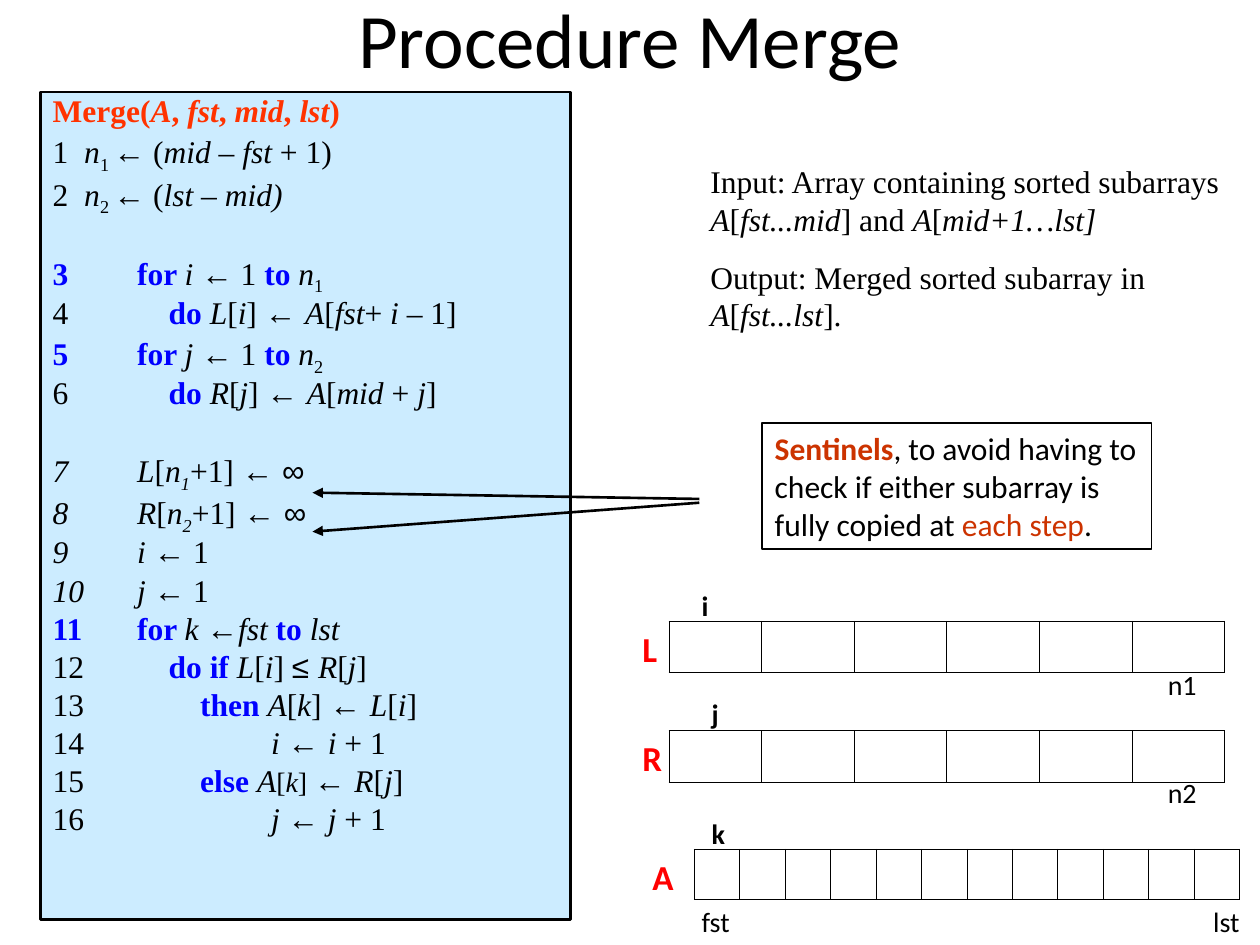
from dataclasses import dataclass
from functools import partial
from typing import NamedTuple, Optional

from lxml.etree import SubElement
from pptx import Presentation
from pptx.dml.color import RGBColor
from pptx.enum.shapes import MSO_CONNECTOR as Connector, MSO_SHAPE as Shape
from pptx.enum.text import MSO_ANCHOR as Anchor, PP_ALIGN as Align
from pptx.oxml.ns import qn
from pptx.util import Emu, Pt

PX = 9144  # 100 px to the inch
BLACK, BLUE, RED = "000000", "0000FF", "FF0000"
HEADING, ACCENT, PANEL = "FF3300", "CC3300", "CCECFF"
SERIF, SANS, SYMBOL = "Times New Roman", "Calibri", "Arial"


class Box(NamedTuple):
    left: int
    top: int
    width: int
    height: int


@dataclass(frozen=True)
class Span:
    text: str
    font: str = SERIF
    size: int = 18
    color: str = BLACK
    bold: bool = False
    italic: bool = False
    sub: bool = False


@dataclass(frozen=True)
class CodeLine:
    spans: list
    numbered: bool = True
    before: float = 4.5


@dataclass(frozen=True)
class Label:
    text: str
    box: Box
    size: int = 16
    color: str = BLACK
    bold: bool = False


@dataclass(frozen=True)
class ArrayRow:
    box: Box
    cells: int


ital = partial(Span, italic=True)
sub = partial(Span, sub=True)
key = partial(Span, color=BLUE, bold=True)
sym = partial(Span, font=SYMBOL)
head = partial(Span, color=HEADING, bold=True)
sans = partial(Span, font=SANS)
ARROW = sym("←")
ARROW_GAP = sym("← ")
GAP = 25.5  # points before a new block of code


def element(name: str) -> list:
    """Code for one array element, such as L[i]."""
    array, index = name
    return [ital(array), Span("["), ital(index), Span("]")]


def count_line(number: str, tail: list) -> CodeLine:
    return CodeLine([Span(f"{number}  "), ital("n"), sub(f"{number} "), ARROW,
                     Span(" (")] + tail, numbered=False)


def copy_loop(index: str, number: str, array: str, source: list,
              before: float = 4.5) -> list:
    return [
        CodeLine([key("for "), ital(f"{index} "), ARROW, Span(" 1 "), key("to "),
                  ital("n"), sub(number)], before=before),
        CodeLine([Span("    "), key("do "), ital(array), Span("["), ital(index),
                  Span("] "), ARROW_GAP, ital("A"), Span("[")] + source),
    ]


def sentinel(array: str, number: str, before: float = 4.5) -> CodeLine:
    return CodeLine([ital(array), Span("["), ital("n"), sub(number, italic=True),
                     Span("+1] "), sym("← ∞")], before=before)


def start_at_one(index: str) -> CodeLine:
    return CodeLine([ital(f"{index} "), ARROW, Span(" 1")])


def step(index: str) -> CodeLine:
    return CodeLine([Span(" " * 17), ital(f"{index} "), ARROW_GAP, ital(index), Span(" + 1")])


def take(word: str, source: str, size: int = 18) -> CodeLine:
    return CodeLine([Span(" " * 8), key(f"{word} "), ital("A"), Span("[", size=size),
                     ital("k", size=size), Span("] ", size=size), ARROW_GAP] + element(source))


CODE = [
    CodeLine([head("Merge("), head("A", italic=True), head(", "), head("fst", italic=True),
              head(", "), head("mid", italic=True), head(", "), head("lst", italic=True),
              head(")")], numbered=False, before=0),
    count_line("1", [ital("mid "), Span("– "), ital("fst "), Span("+ 1)")]),
    count_line("2", [ital("lst "), Span("– "), ital("mid)")]),
    *copy_loop("i", "1", "L", [ital("fst"), Span("+ "), ital("i "), Span("– 1]")], GAP),
    *copy_loop("j", "2", "R", [ital("mid "), Span("+ "), ital("j"), Span("]")]),
    sentinel("L", "1", GAP),
    sentinel("R", "2"),
    start_at_one("i"),
    start_at_one("j"),
    CodeLine([key("for "), ital("k "), ARROW, ital("fst "), key("to "), ital("lst")]),
    CodeLine([Span("    "), key("do if "), *element("Li"), Span(" "), sym("≤ "),
              *element("Rj")]),
    take("then", "Li"),
    step("i"),
    take("else", "Rj", size=16),
    step("j"),
]
NOTE = [
    [sans("Sentinels", color=ACCENT, bold=True), sans(", to avoid having to")],
    [sans("check if either subarray is")],
    [sans("fully copied at "), sans("each step", color=ACCENT), sans(".")],
]
CONTRACT = [
    [Span("Input: Array containing sorted subarrays "), ital("A"), Span("["),
     ital("fst...mid"), Span("] and "), ital("A"), Span("["), ital("mid+1…lst]")],
    [Span("Output: Merged sorted subarray in "), ital("A"), Span("["), ital("fst...lst"),
     Span("].")],
]
ARROWS = [((555, 396), (248, 391)), ((555, 399), (248, 422))]
ARRAYS = [ArrayRow(Box(531, 493, 441, 41), 6), ArrayRow(Box(531, 580, 441, 41), 6),
          ArrayRow(Box(551, 674, 433, 40), 12)]
name_label = partial(Label, size=20, color=RED, bold=True)
LABELS = [
    name_label("L", Box(500, 493, 39, 44)),
    name_label("R", Box(500, 580, 39, 44)),
    name_label("A", Box(508, 674, 39, 44)),
    Label("i", Box(547, 462, 32, 37), bold=True),
    Label("j", Box(555, 548, 30, 37), bold=True),
    Label("k", Box(555, 643, 31, 37), bold=True),
    Label("n1", Box(917, 525, 47, 37)),
    Label("n2", Box(917, 611, 47, 37)),
    Label("fst", Box(547, 713, 47, 37)),
    Label("lst", Box(953, 713, 47, 37)),
]


def emu(values) -> list:
    return [Emu(value * PX) for value in values]


def rgb(color: str) -> RGBColor:
    return RGBColor.from_string(color)


def add_spans(para, spans: list) -> None:
    for span in spans:
        run = para.add_run()
        run.text = span.text
        font = run.font
        font.name, font.size = span.font, Pt(span.size)
        font.bold, font.italic = span.bold, span.italic
        font.color.rgb = rgb(span.color)
        if span.sub:
            run._r.get_or_add_rPr().set("baseline", "-25000")


def write(frame, lines: list, before: float = 0, align=Align.LEFT) -> None:
    for index, spans in enumerate(lines):
        para = frame.add_paragraph() if index else frame.paragraphs[0]
        para.alignment = align
        para.space_before = Pt(before if index else 0)
        add_spans(para, spans)


def add_text(page, box: Box, lines: list, before: float = 0, align=Align.LEFT,
             anchor=Anchor.TOP) -> None:
    frame = page.shapes.add_textbox(*emu(box)).text_frame
    frame.word_wrap = True
    frame.vertical_anchor = anchor
    write(frame, lines, before, align)


def add_frame(page, box: Box, line_width: float, fill: Optional[str] = None,
              wrap: bool = True):
    """Draw an outlined rectangle and return its text frame."""
    panel = page.shapes.add_shape(Shape.RECTANGLE, *emu(box))
    panel.shadow.inherit = False
    if fill:
        panel.fill.solid()
        panel.fill.fore_color.rgb = rgb(fill)
    else:
        panel.fill.background()
    panel.line.color.rgb = rgb(BLACK)
    panel.line.width = Pt(line_width)
    panel.text_frame.word_wrap = wrap
    panel.text_frame.vertical_anchor = Anchor.TOP
    return panel.text_frame


def write_code(frame, lines: list) -> None:
    write(frame, [line.spans for line in lines])
    for para, line in zip(frame.paragraphs, lines):
        para.line_spacing = 0.8
        para.space_before = Pt(line.before)
        props = para._p.get_or_add_pPr()
        props.set("marL", str(67 * PX))
        props.set("indent", str(-67 * PX))
        if line.numbered:
            SubElement(SubElement(props, qn("a:buClr")), qn("a:srgbClr"),
                       val=line.spans[0].color)
            SubElement(props, qn("a:buAutoNum"), type="arabicPlain", startAt="3")


def add_arrow(page, start: tuple, end: tuple) -> None:
    arrow = page.shapes.add_connector(Connector.STRAIGHT, *emu(start + end))
    arrow.line.color.rgb = rgb(BLACK)
    arrow.line.width = Pt(1.5)
    SubElement(arrow.line._get_or_add_ln(), qn("a:tailEnd"), type="triangle")
    SubElement(arrow._element.spPr, qn("a:effectLst"))


def add_array(page, row: ArrayRow) -> None:
    table = page.shapes.add_table(1, row.cells, *emu(row.box)).table
    table.first_row = table.horz_banding = False
    for column in table.columns:
        column.width = Emu(row.box.width * PX // row.cells)
    for cell in table.iter_cells():
        props = cell._tc.get_or_add_tcPr()
        for side in ("lnL", "lnR", "lnT", "lnB"):
            border = SubElement(props, qn(f"a:{side}"), w=str(Pt(0.45)))
            SubElement(SubElement(border, qn("a:solidFill")), qn("a:srgbClr"), val=BLACK)
        cell.fill.background()


def main() -> None:
    deck = Presentation()
    deck.slide_width, deck.slide_height = emu((1000, 750))
    page = deck.slides.add_slide(deck.slide_layouts[6])
    add_text(page, Box(0, -20, 1000, 100), [[sans("Procedure Merge", size=44)]],
             align=Align.CENTER, anchor=Anchor.MIDDLE)
    write_code(add_frame(page, Box(32, 73, 421, 657), 1.5, PANEL), CODE)
    write(add_frame(page, Box(605, 336, 309, 100), 1, wrap=False), NOTE)
    for start, end in ARROWS:
        add_arrow(page, start, end)
    add_text(page, Box(554, 124, 426, 146), CONTRACT, before=11.2)
    for row in ARRAYS:
        add_array(page, row)
    for label in LABELS:
        add_text(page, label.box, [[sans(label.text, size=label.size, color=label.color,
                                         bold=label.bold)]])
    deck.save("out.pptx")


if __name__ == "__main__":
    main()
